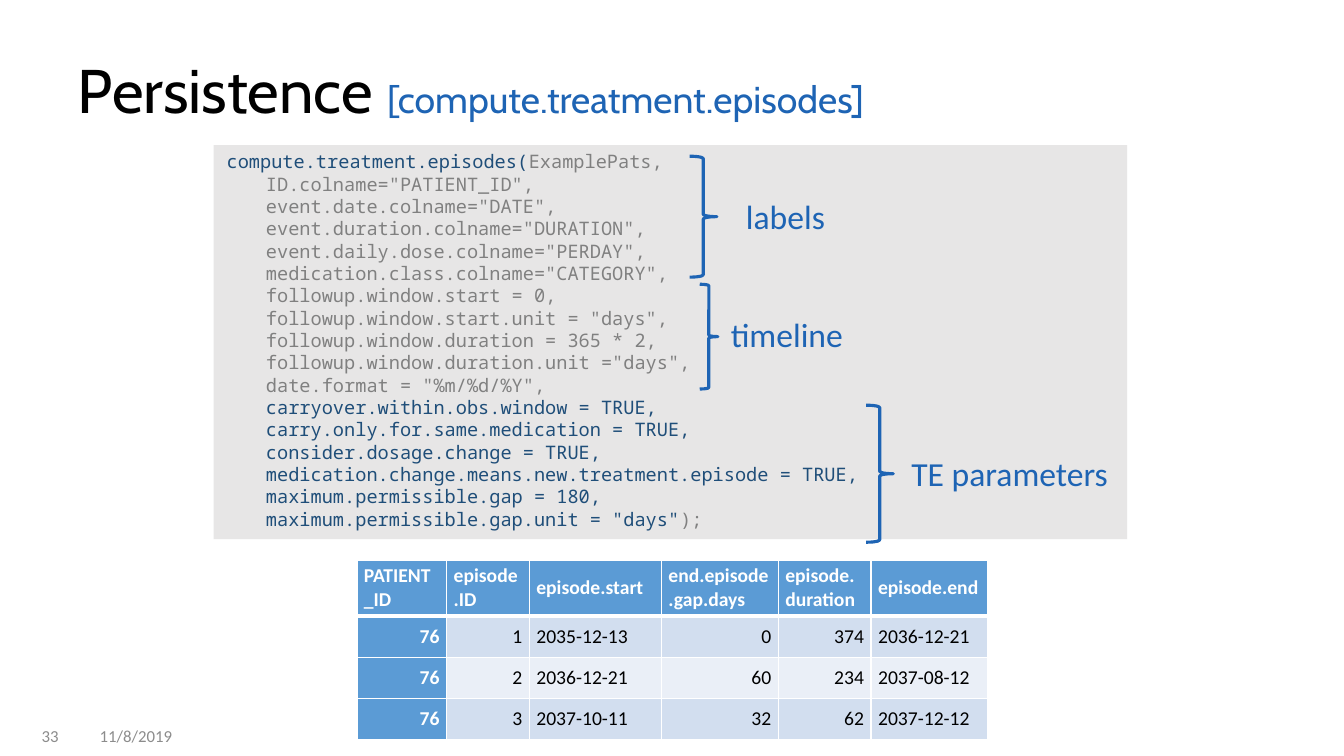
from dataclasses import dataclass

import pptx
import pptx.dml.color
import pptx.enum.shapes
import pptx.enum.text
import pptx.oxml
import pptx.oxml.ns
import pptx.util

Inches, Pt = pptx.util.Inches, pptx.util.Pt
RGBColor = pptx.dml.color.RGBColor
PP_ALIGN = pptx.enum.text.PP_ALIGN
MSO_ANCHOR = pptx.enum.text.MSO_ANCHOR
MSO_AUTO_SIZE = pptx.enum.text.MSO_AUTO_SIZE
MSO_SHAPE = pptx.enum.shapes.MSO_SHAPE

WHITE = RGBColor(0xFF, 0xFF, 0xFF)
BLACK = RGBColor(0, 0, 0)
ACCENT = RGBColor(0x1E, 0x64, 0xB4)
PANEL_GRAY = RGBColor(0xE7, 0xE6, 0xE6)
CODE_GRAY = RGBColor(0x80, 0x80, 0x80)
CODE_BLUE = RGBColor(0x1F, 0x4E, 0x79)
FOOTER_GRAY = RGBColor(0x8C, 0x8C, 0x8C)
HEADER_BLUE = RGBColor(0x5B, 0x9B, 0xD5)
BANDS = (RGBColor(0xD2, 0xDE, 0xEF), RGBColor(0xEA, 0xEF, 0xF7))

TEXT_FONT, TITLE_FONT, CODE_FONT = "Calibri", "Cabin", "Noto Sans Mono"

Box = tuple[float, float, float, float]


@dataclass
class Label:
    text: str
    box: Box
    size: float
    color: RGBColor
    align: PP_ALIGN = PP_ALIGN.LEFT
    anchor: MSO_ANCHOR = MSO_ANCHOR.TOP
    wrap: bool = False


@dataclass
class CodeLine:
    indent: tuple[float, float]  # left margin, first line offset
    level: int
    runs: list[tuple[str, RGBColor]]


FOOTERS = [
    Label("33", (0, 7.1, 0.68, 0.39), 12, FOOTER_GRAY, PP_ALIGN.RIGHT, MSO_ANCHOR.MIDDLE, True),
    Label("11/8/2019", (0.89, 7.1, 1.99, 0.4), 12, FOOTER_GRAY, anchor=MSO_ANCHOR.MIDDLE, wrap=True),
]

GROUP_LABELS = [
    Label("labels", (7.3, 1.89, 0.99, 0.5), 24, ACCENT),
    Label("timeline", (7.15, 3.07, 1.33, 0.5), 24, ACCENT),
    Label("TE parameters", (8.94, 4.44, 2.17, 0.5), 24, ACCENT),
]

GROUP_BRACES: list[Box] = [
    (6.84, 1.55, 0.27, 1.2),
    (6.94, 2.82, 0.18, 1.04),
    (8.59, 4.02, 0.27, 1.36),
]

COMMON_ARGUMENTS = [
    'ID.colname="PATIENT_ID",',
    'event.date.colname="DATE",',
    'event.duration.colname="DURATION",',
    'event.daily.dose.colname="PERDAY",',
    'medication.class.colname="CATEGORY",',
    "followup.window.start = 0,",
    'followup.window.start.unit = "days",',
    "followup.window.duration = 365 * 2,",
    'followup.window.duration.unit ="days",',
    'date.format = "%m/%d/%Y",',
]
EPISODE_ARGUMENTS = [
    "carryover.within.obs.window = TRUE,",
    "carry.only.for.same.medication = TRUE,",
    "consider.dosage.change = TRUE,",
    "medication.change.means.new.treatment.episode = TRUE,",
    "maximum.permissible.gap = 180,",
    'maximum.permissible.gap.unit = "days"',
]

COLUMN_WIDTHS = [0.89, 0.82, 1.31, 1.16, 0.92, 1.16]
ROW_HEIGHTS = [0.55, 0.41, 0.41, 0.41]
EPISODES = [
    ["PATIENT_ID", "episode.ID", "episode.start", "end.episode.gap.days", "episode.duration", "episode.end"],
    ["76", "1", "2035-12-13", "0", "374", "2036-12-21"],
    ["76", "2", "2036-12-21", "60", "234", "2037-08-12"],
    ["76", "3", "2037-10-11", "32", "62", "2037-12-12"],
]


def apply(target, **formats) -> None:
    for name, value in formats.items():
        setattr(target, name, value)


def add_run(paragraph, text: str, font: str, size: float, color: RGBColor, bold: bool = False) -> None:
    run = paragraph.add_run()
    run.text = text
    apply(run.font, name=font, size=Pt(size), bold=bold)
    run.font.color.rgb = color


def add_label(slide, label: Label) -> None:
    frame = slide.shapes.add_textbox(*map(Inches, label.box)).text_frame
    apply(frame, word_wrap=label.wrap, vertical_anchor=label.anchor)
    frame.paragraphs[0].alignment = label.align
    add_run(frame.paragraphs[0], label.text, TEXT_FONT, label.size, label.color)


def add_title(slide) -> None:
    title = slide.shapes.title
    apply(title, left=Inches(0.67), top=Inches(0.3), width=Inches(11.88), height=Inches(1.25))
    apply(title.text_frame, vertical_anchor=MSO_ANCHOR.MIDDLE, word_wrap=True, auto_size=MSO_AUTO_SIZE.NONE)
    heading = title.text_frame.paragraphs[0]
    apply(heading, alignment=PP_ALIGN.LEFT, line_spacing=0.9)
    add_run(heading, "Persistence ", TITLE_FONT, 44, BLACK)
    add_run(heading, "[compute.treatment.episodes]", TITLE_FONT, 26.7, ACCENT)


def code_lines() -> list[CodeLine]:
    call = CodeLine((1.33, -1.3), 1, [("compute.treatment.episodes(", CODE_BLUE), ("ExamplePats,", CODE_GRAY)])
    colored = [(text, CODE_GRAY) for text in COMMON_ARGUMENTS]
    colored += [(text, CODE_BLUE) for text in EPISODE_ARGUMENTS]
    arguments = [CodeLine((1.12, -0.7), 2, [run]) for run in colored]
    arguments[-1].runs.append((");", CODE_GRAY))
    return [call, *arguments]


def add_code_panel(slide) -> None:
    panel = slide.shapes.add_shape(MSO_SHAPE.RECTANGLE, *map(Inches, (2.12, 1.44, 9.06, 3.91)))
    panel.shadow.inherit = False
    panel.fill.solid()
    panel.fill.fore_color.rgb = PANEL_GRAY
    panel.line.fill.background()
    frame = panel.text_frame
    apply(frame, word_wrap=True, vertical_anchor=MSO_ANCHOR.TOP, auto_size=MSO_AUTO_SIZE.SHAPE_TO_FIT_TEXT)
    for number, line in enumerate(code_lines()):
        paragraph = frame.add_paragraph() if number else frame.paragraphs[0]
        apply(paragraph, alignment=PP_ALIGN.LEFT, level=line.level)
        properties = paragraph._p.get_or_add_pPr()
        for name, length in zip(("marL", "indent"), line.indent):
            properties.set(name, str(Inches(length)))
        for text, color in line.runs:
            add_run(paragraph, text, CODE_FONT, 13.3, color)


def add_brace(slide, box: Box) -> None:
    brace = slide.shapes.add_shape(MSO_SHAPE.RIGHT_BRACE, *map(Inches, box))
    brace.shadow.inherit = False
    brace.fill.background()
    brace.line.color.rgb = ACCENT
    brace.line.width = Pt(2.25)


def set_borders(cell, widths: dict[str, float]) -> None:
    properties = cell._tc.get_or_add_tcPr()
    for side, width in widths.items():
        properties.append(pptx.oxml.parse_xml(
            f'<a:ln{side} {pptx.oxml.ns.nsdecls("a")} w="{Pt(width)}"><a:solidFill>'
            f'<a:srgbClr val="{WHITE}"/></a:solidFill></a:ln{side}>'))


def add_episode_table(slide) -> None:
    frame = slide.shapes.add_table(len(EPISODES), len(COLUMN_WIDTHS), *map(Inches, (3.54, 5.56, 6.25, 1.78)))
    table = frame.table
    for column, width in zip(table.columns, COLUMN_WIDTHS):
        column.width = Inches(width)
    for r, (row, height) in enumerate(zip(EPISODES, ROW_HEIGHTS)):
        table.rows[r].height = Inches(height)
        for c, text in enumerate(row):
            cell = table.cell(r, c)
            heading = r == 0 or c == 0
            padding = Inches(0.06 if r else 0)
            apply(cell, vertical_anchor=MSO_ANCHOR.MIDDLE, margin_left=Inches(0.07),
                  margin_right=Inches(0.07), margin_top=padding, margin_bottom=padding)
            set_borders(cell, {"L": 1, "R": 1, "T": 3 if r == 1 else 1, "B": 1 if r else 3})
            cell.fill.solid()
            cell.fill.fore_color.rgb = HEADER_BLUE if heading else BANDS[(r - 1) % 2]
            paragraph = cell.text_frame.paragraphs[0]
            paragraph.alignment = PP_ALIGN.RIGHT if text.isdigit() else PP_ALIGN.LEFT
            add_run(paragraph, text, TEXT_FONT, 14, WHITE if heading else BLACK, heading)


def main() -> None:
    deck = pptx.Presentation()
    apply(deck, slide_width=Inches(13.33), slide_height=Inches(7.5))
    slide = deck.slides.add_slide(deck.slide_layouts[5])
    add_title(slide)
    add_code_panel(slide)
    add_episode_table(slide)
    for box in GROUP_BRACES:
        add_brace(slide, box)
    for label in FOOTERS + GROUP_LABELS:
        add_label(slide, label)
    deck.save("out.pptx")


if __name__ == "__main__":
    main()
